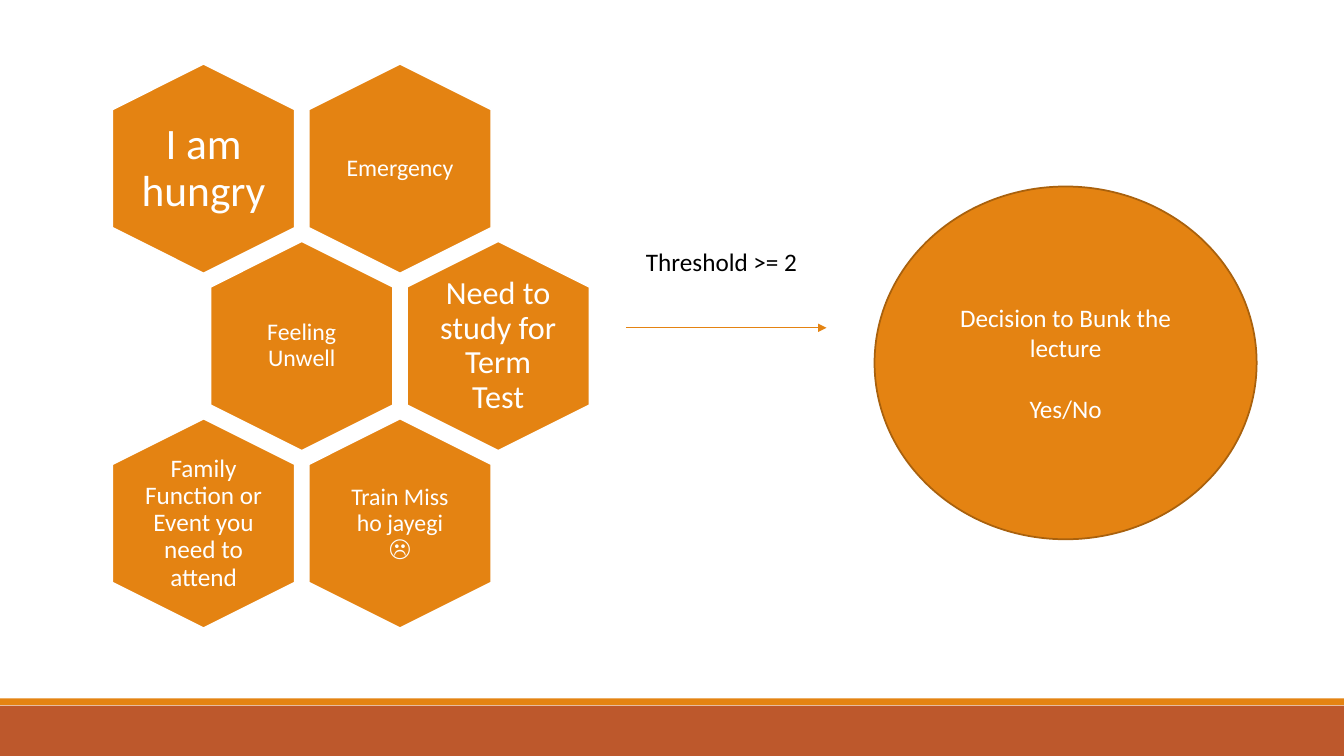
import pptx
import pptx.util
import pptx.dml.color
import pptx.enum.shapes
import pptx.enum.text
import pptx.oxml
import pptx.oxml.ns

Cm, Pt = pptx.util.Cm, pptx.util.Pt
SHAPE = pptx.enum.shapes.MSO_SHAPE
CENTER = pptx.enum.text.PP_ALIGN.CENTER
MIDDLE = pptx.enum.text.MSO_ANCHOR.MIDDLE
COLORS = {"orange": "E48312", "rust": "BD582C", "edge": "A9610D",
          "white": "FFFFFF", "black": "000000"}


def rgb(name):
    return pptx.dml.color.RGBColor.from_string(COLORS[name])


def write(shape, lines, size, color, frame_format, paragraph_format):
    frame = shape.text_frame
    for key, value in frame_format.items():
        setattr(frame, key, value)
    for index, line in enumerate(lines):
        paragraph = frame.add_paragraph() if index else frame.paragraphs[0]
        for key, value in paragraph_format.items():
            setattr(paragraph, key, value)
        run = paragraph.add_run()
        run.text = line
        run.font.name, run.font.size = "Calibri", Pt(size)
        run.font.color.rgb = rgb(color)


deck = pptx.Presentation()
deck.slide_width, deck.slide_height = Cm(33.87), Cm(19.05)
slide = deck.slides.add_slide(deck.slide_layouts[6])
shapes = slide.shapes

# Footer bands
for top, height, color in [(17.78, 1.27, "rust"), (17.6, 0.17, "orange")]:
    band = shapes.add_shape(SHAPE.RECTANGLE, 0, Cm(top), deck.slide_width, Cm(height))
    band.shadow.inherit = False
    band.fill.solid()
    band.fill.fore_color.rgb = rgb(color)
    band.line.fill.background()

# Honeycomb of reasons: text, size, inset; the middle row shifts by half a cell
reasons = [
    [("I am hungry", 31, 0), ("Emergency", 17, 0.18)],
    [("Feeling Unwell", 17, 0.18), ("Need to study for Term Test", 23, 0)],
    [("Family Function or Event you need to attend", 18, 0),
     ("Train Miss ho jayegi ☹", 17, 0.18)],
]
cell_step, row_step = 4.95, 4.47
cell_length, cell_width = 5.28, 4.6
label_width, label_height = 3.15, 3.63
for row, row_reasons in enumerate(reasons):
    for column, (reason, size, inset) in enumerate(row_reasons):
        center_x = 5.13 + cell_step * (column + row % 2 / 2)
        center_y = 4.25 + row_step * row
        cell = shapes.add_shape(
            SHAPE.HEXAGON, Cm(center_x - cell_length / 2), Cm(center_y - cell_width / 2),
            Cm(cell_length), Cm(cell_width))
        cell.rotation = 90
        cell.adjustments[0] = 0.25
        cell.shadow.inherit = False
        cell.fill.solid()
        cell.fill.fore_color.rgb = rgb("orange")
        cell.line.color.rgb = rgb("white")
        cell.line.width = Pt(1.25)
        label = shapes.add_textbox(
            Cm(center_x - label_width / 2), Cm(center_y - label_height / 2),
            Cm(label_width), Cm(label_height))
        margins = {f"margin_{side}": Cm(inset) for side in ("left", "top", "right", "bottom")}
        write(label, [reason], size, "white",
              {"word_wrap": True, "vertical_anchor": MIDDLE, **margins},
              {"alignment": CENTER, "line_spacing": 0.9})

# Arrow to the decision
arrow = shapes.add_connector(pptx.enum.shapes.MSO_CONNECTOR.STRAIGHT,
                             Cm(15.77), Cm(8.26), Cm(20.83), Cm(8.26))
arrow.line.color.rgb = rgb("orange")
arrow.line.width = Pt(1)
tail = pptx.oxml.parse_xml(f'<a:tailEnd {pptx.oxml.ns.nsdecls("a")} type="triangle"/>')
arrow.line._get_or_add_ln().append(tail)
no_effects = pptx.oxml.parse_xml(f'<a:effectLst {pptx.oxml.ns.nsdecls("a")}/>')
arrow._element.spPr.append(no_effects)

# Decision
decision = shapes.add_shape(SHAPE.OVAL, Cm(22.04), Cm(4.7), Cm(9.63), Cm(8.89))
decision.shadow.inherit = False
decision.fill.solid()
decision.fill.fore_color.rgb = rgb("orange")
decision.line.color.rgb = rgb("edge")
decision.line.width = Pt(1.25)
write(decision, ["Decision to Bunk the lecture", "Yes/No"], 18, "white",
      {"word_wrap": True, "vertical_anchor": MIDDLE}, {"alignment": CENTER})
decision.text_frame.paragraphs[1].space_before = Pt(22)

# Threshold
threshold = shapes.add_textbox(Cm(16.03), Cm(6.07), Cm(4.52), Cm(1.02))
write(threshold, ["Threshold >= 2"], 18, "black",
      {"word_wrap": False, "auto_size": pptx.enum.text.MSO_AUTO_SIZE.SHAPE_TO_FIT_TEXT}, {})

deck.save("out.pptx")
